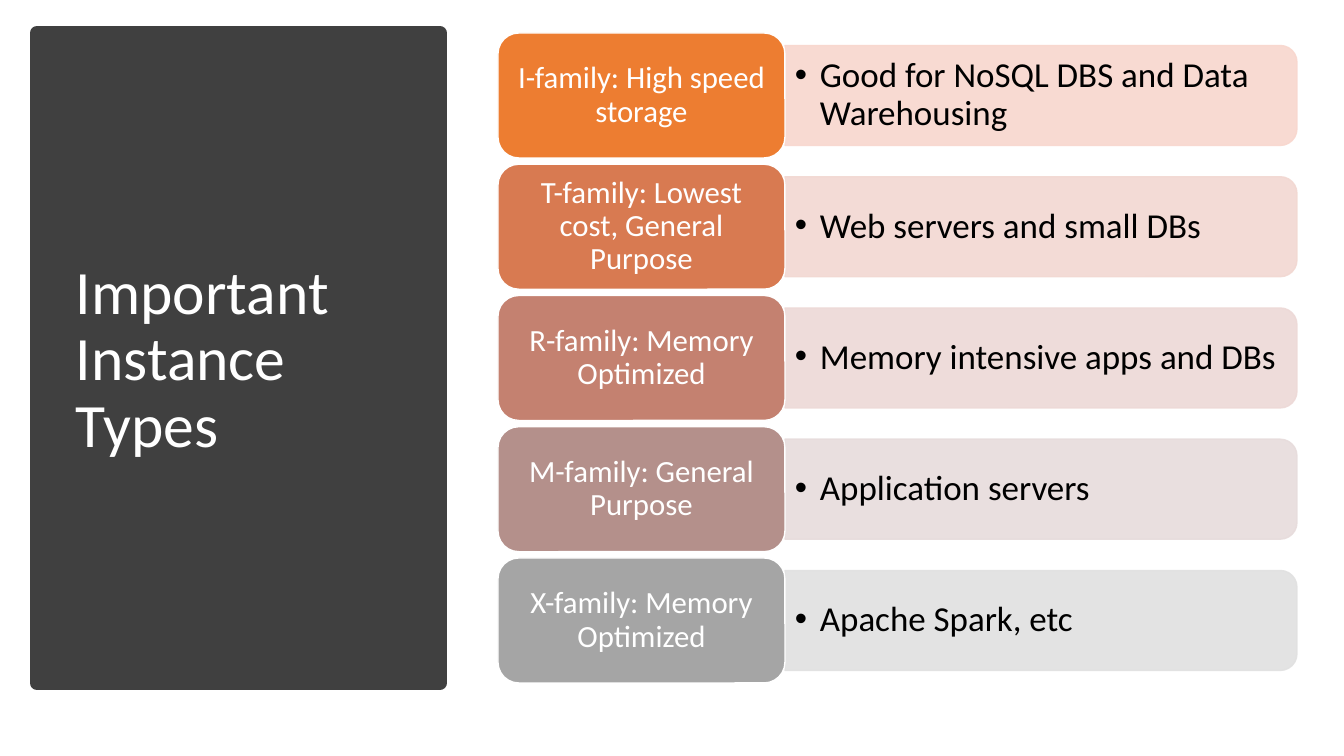
from lxml import etree
from pptx import Presentation
from pptx import util as u
from pptx.dml.color import RGBColor
from pptx.enum import shapes, text
from pptx.oxml.ns import qn

# Content: family, use, card colour, band colour
TITLE = "Important Instance Types"
FAMILIES = [
    ("I-family: High speed storage", "Good for NoSQL DBS and Data Warehousing", "ED7D31", "F8D7CE"),
    ("T-family: Lowest cost, General Purpose", "Web servers and small DBs", "D87A51", "F2D8D2"),
    ("R-family: Memory Optimized", "Memory intensive apps and DBs", "C48170", "EDD9D7"),
    ("M-family: General Purpose", "Application servers", "B4908B", "E7DCDC"),
    ("X-family: Memory Optimized", "Apache Spark, etc", "A5A5A5", "E1E1E1"),
]


class Theme:
    font = "Calibri"
    panel, light, dark = "404040", "FFFFFF", "000000"
    title_size, card_size, use_size = 44, 22, 25
    panel_line, thin_line = 10, 1
    band_opacity = 90


# Layout in px
EMU_PER_PX = 914400 / 100.8
SLIDE_WIDTH, SLIDE_HEIGHT = 1344, 756
PANEL = (37, 33, 403, 650)
TITLE_BOX = (66, 71, 348, 580)
STACK_TOP, STACK_BOTTOM = 33, 683
CARD_LEFT, CARD_WIDTH, CARD_HEIGHT = 498, 287, 125
BAND_LEFT, BAND_WIDTH, BAND_HEIGHT = 785, 512, 100
USE_WIDTH, USE_HEIGHT = 506, 90
BULLET_INDENT = 25
PITCH = (STACK_BOTTOM - STACK_TOP - CARD_HEIGHT) / (len(FAMILIES) - 1)


def px(length):
    return u.Emu(round(length * EMU_PER_PX))


def add_block(slide, kind, box, fill, line, line_width, opacity=100):
    shape = slide.shapes.add_shape(kind, *map(px, box))
    shape.shadow.inherit = False
    shape.fill.solid()
    shape.fill.fore_color.rgb = RGBColor.from_string(fill)
    shape.line.color.rgb = RGBColor.from_string(line)
    shape.line.width = u.Pt(line_width)
    if opacity < 100:
        for color in shape.element.spPr.iter(qn("a:srgbClr")):
            etree.SubElement(color, qn("a:alpha"), val=str(opacity * 1000))
    return shape


def write(shape, content, size, color, align=text.PP_ALIGN.LEFT, inset=10, bullet=False):
    frame = shape.text_frame
    frame.word_wrap = True
    frame.vertical_anchor = text.MSO_ANCHOR.MIDDLE
    frame.margin_left = frame.margin_right = px(inset)
    frame.margin_top = frame.margin_bottom = px(5)
    paragraph = frame.paragraphs[0]
    paragraph.text = content
    paragraph.alignment = align
    paragraph.line_spacing = 0.9
    if bullet:
        properties = paragraph._p.get_or_add_pPr()
        properties.set("marL", str(px(BULLET_INDENT)))
        properties.set("indent", str(-px(BULLET_INDENT)))
        etree.SubElement(properties, qn("a:buFont"), typeface="Arial")
        etree.SubElement(properties, qn("a:buChar"), char="•")
    font = paragraph.runs[0].font
    font.name = Theme.font
    font.size = u.Pt(size)
    font.color.rgb = RGBColor.from_string(color)


def add_family(slide, top, family, use, card_color, band_color):
    middle = top + CARD_HEIGHT / 2

    # Band: an upright shape turned a quarter so its round end faces right
    center = BAND_LEFT + BAND_WIDTH / 2
    upright = (center - BAND_HEIGHT / 2, middle - BAND_WIDTH / 2, BAND_HEIGHT, BAND_WIDTH)
    band = add_block(slide, shapes.MSO_SHAPE.ROUND_2_SAME_RECTANGLE, upright, band_color,
                     band_color, Theme.thin_line, Theme.band_opacity)
    band.rotation = 90

    # Use of the family
    use_box = (BAND_LEFT, middle - USE_HEIGHT / 2, USE_WIDTH, USE_HEIGHT)
    write(slide.shapes.add_textbox(*map(px, use_box)), use, Theme.use_size, Theme.dark,
          bullet=True)

    # Family card
    card = add_block(slide, shapes.MSO_SHAPE.ROUNDED_RECTANGLE,
                     (CARD_LEFT, top, CARD_WIDTH, CARD_HEIGHT),
                     card_color, Theme.light, Theme.thin_line)
    write(card, family, Theme.card_size, Theme.light, align=text.PP_ALIGN.CENTER, inset=9)


def main():
    presentation = Presentation()
    presentation.slide_width = px(SLIDE_WIDTH)
    presentation.slide_height = px(SLIDE_HEIGHT)
    slide = presentation.slides.add_slide(presentation.slide_layouts[6])

    # Title panel
    add_block(slide, shapes.MSO_SHAPE.RECTANGLE, PANEL, Theme.panel, Theme.panel,
              Theme.panel_line)
    write(slide.shapes.add_textbox(*map(px, TITLE_BOX)), TITLE, Theme.title_size, Theme.light)

    # Instance families
    for row, family in enumerate(FAMILIES):
        add_family(slide, STACK_TOP + row * PITCH, *family)

    presentation.save("out.pptx")


if __name__ == "__main__":
    main()
